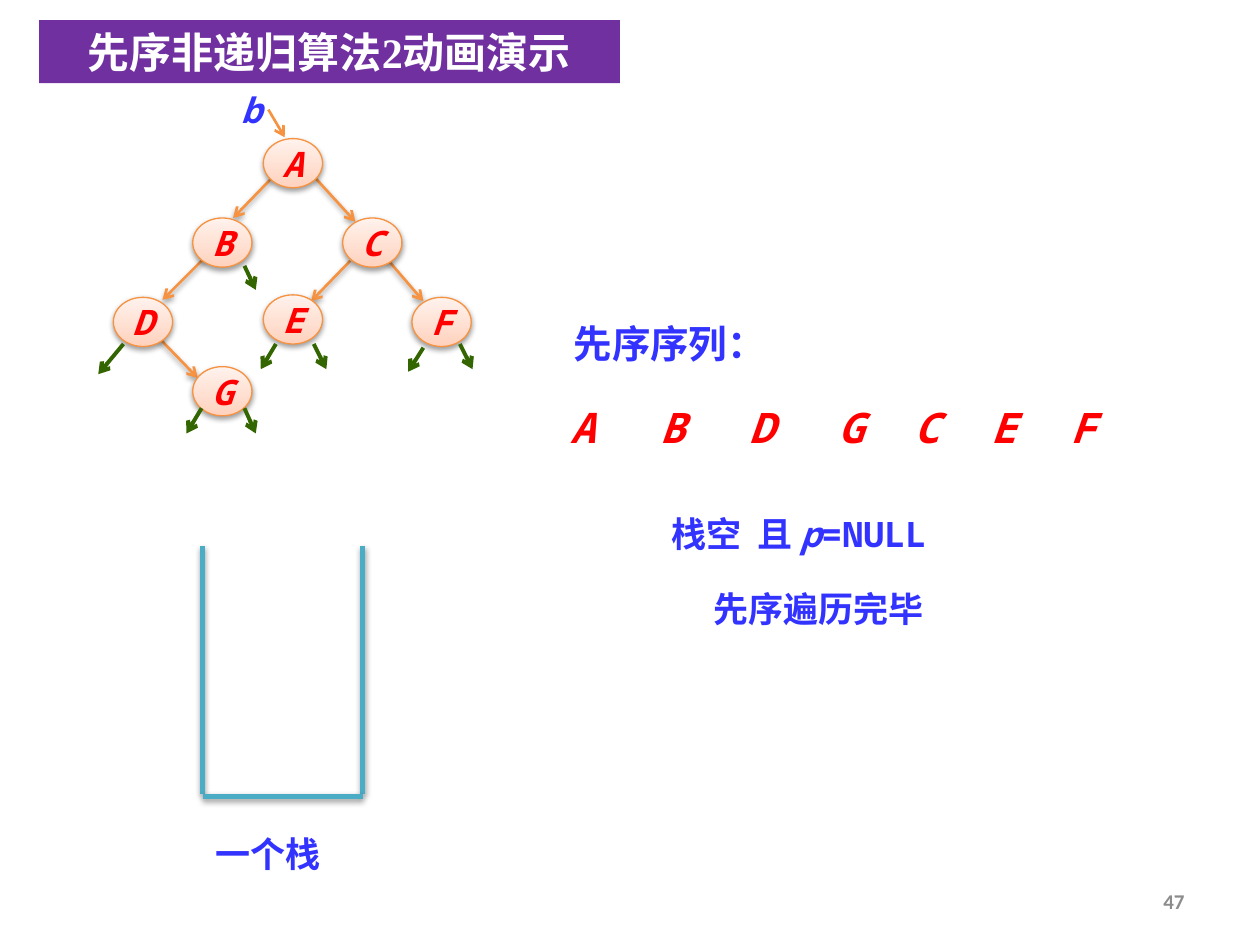
from pptx import Presentation
from pptx.dml.color import RGBColor
from pptx.enum.shapes import MSO_CONNECTOR, MSO_SHAPE
from pptx.enum.text import MSO_ANCHOR, PP_ALIGN
from pptx.oxml import parse_xml
from pptx.oxml.ns import nsdecls
from pptx.util import Inches, Pt

ORANGE = RGBColor(0xF6, 0x92, 0x40)
PEACH = RGBColor(0xFF, 0xD2, 0xBD)
PALE_PEACH = RGBColor(0xFF, 0xF2, 0xED)
GREEN = RGBColor(0x33, 0x66, 0x00)
TEAL = RGBColor(0x4B, 0xAC, 0xC6)
PURPLE = RGBColor(0x70, 0x30, 0xA0)
BLUE = RGBColor(0x33, 0x33, 0xFF)
RED = RGBColor(0xFF, 0x00, 0x00)
GRAY = RGBColor(0x8C, 0x8C, 0x8C)
WHITE = RGBColor(0xFF, 0xFF, 0xFF)
MONO = "Noto Sans Mono"

NO_EFFECT = f"<a:effectLst {nsdecls('a')}/>"
SHADOW = f"""<a:effectLst {nsdecls('a')}>
  <a:outerShdw blurRad="40000" dist="20000" dir="5400000" rotWithShape="0">
    <a:srgbClr val="000000"><a:alpha val="38000"/></a:srgbClr>
  </a:outerShdw></a:effectLst>"""
ARROWHEAD = f"<a:tailEnd {nsdecls('a')} type=\"arrow\"/>"

deck = Presentation()
deck.slide_width, deck.slide_height = Inches(10), Inches(7.5)
page = deck.slides.add_slide(deck.slide_layouts[5])


def add_line(ends, color, width, arrow=True, effect=SHADOW):
    line = page.shapes.add_connector(MSO_CONNECTOR.STRAIGHT, *map(Inches, ends))
    line.line.color.rgb = color
    line.line.width = Pt(width)
    if arrow:
        line.line._get_or_add_ln().append(parse_xml(ARROWHEAD))
    line._element.spPr.append(parse_xml(effect))


def add_text(place, spans, size, color, align=PP_ALIGN.CENTER, inset=True, font=MONO):
    """Add one line of text; spans are (text, italic) pairs."""
    box = page.shapes.add_textbox(*map(Inches, place))
    frame = box.text_frame
    frame.word_wrap = True
    if not inset:
        frame.margin_left = frame.margin_right = 0
        frame.margin_top = frame.margin_bottom = 0
    para = frame.paragraphs[0]
    para.alignment = align
    for text, italic in spans:
        span = para.add_run()
        span.text = text
        span.font.name, span.font.size = font, Pt(size)
        span.font.bold, span.font.italic = True, italic
        span.font.color.rgb = color
    return box


# Title banner
title = page.shapes.title
title.left, title.top = Inches(0.31), Inches(0.16)
title.width, title.height = Inches(4.61), Inches(0.5)
title.fill.solid()
title.fill.fore_color.rgb = PURPLE
title.text_frame.text = "先序非递归算法2动画演示"
title_font = title.text_frame.paragraphs[0].runs[0].font
title_font.name, title_font.size, title_font.bold = "Times New Roman", Pt(24), True
title_font.color.rgb = WHITE

# Tree edges
for ends in [
    (2.16, 1.41, 1.85, 1.73), (2.5, 1.41, 2.82, 1.76),
    (1.64, 2.03, 1.29, 2.38), (2.78, 2.07, 2.47, 2.39),
    (3.05, 2.03, 3.36, 2.39), (1.26, 2.68, 1.57, 3),
]:
    add_line(ends, ORANGE, 1.5)

# Tree nodes
for name, left, top in [
    ("A", 2.09, 1.1), ("B", 1.53, 1.73), ("C", 2.72, 1.73), ("D", 0.9, 2.36),
    ("E", 2.09, 2.34), ("F", 3.27, 2.36), ("G", 1.53, 2.91),
]:
    node = page.shapes.add_shape(
        MSO_SHAPE.OVAL, Inches(left), Inches(top), Inches(0.47), Inches(0.39))
    node.fill.gradient()
    node.fill.gradient_angle = 90
    for stop, color in zip(node.fill.gradient_stops, (PEACH, PALE_PEACH)):
        stop.color.rgb = color
    node.line.color.rgb = ORANGE
    node.line.width = Pt(0.75)
    node._element.spPr.append(parse_xml(SHADOW))
    frame = node.text_frame
    frame.text = name
    frame.word_wrap = False
    frame.vertical_anchor = MSO_ANCHOR.MIDDLE
    frame.paragraphs[0].alignment = PP_ALIGN.CENTER
    font = frame.paragraphs[0].runs[0].font
    font.name, font.size, font.bold, font.italic = MONO, Pt(20), True, True
    font.color.rgb = RED

# Empty child pointers
for ends in [
    (1.94, 2.11, 2.03, 2.3), (0.98, 2.73, 0.78, 2.97),
    (2.19, 2.73, 2.07, 2.93), (2.49, 2.73, 2.59, 2.93),
    (3.36, 2.76, 3.24, 2.95), (3.65, 2.73, 3.75, 2.93),
    (1.6, 3.24, 1.48, 3.44), (1.94, 3.24, 2.03, 3.44),
]:
    add_line(ends, GREEN, 2.25, effect=NO_EFFECT)

# Root pointer
add_line((2.13, 0.87, 2.26, 1.09), ORANGE, 1.5, effect=NO_EFFECT)
add_text((1.8, 0.7, 0.39, 0.34), [("b", True)], 20, BLUE, inset=False)

# Stack
for ends in [(1.61, 4.33, 1.61, 6.3), (2.88, 4.33, 2.88, 6.3), (1.61, 6.32, 2.88, 6.32)]:
    add_line(ends, TEAL, 3, arrow=False)
add_text((1.61, 6.56, 1.26, 0.44), [("一个栈", False)], 20, BLUE, PP_ALIGN.LEFT)

# Preorder sequence
add_text((4.37, 2.49, 1.89, 0.47), [("先序序列：", False)], 22, BLUE)
for name, left in zip("ABDGCEF", (4.39, 5.1, 5.81, 6.52, 7.12, 7.73, 8.36)):
    add_text((left, 3.19, 0.47, 0.4), [(name, True)], 24, RED, inset=False)

# End condition
add_text((5.23, 4.02, 2.5, 0.44),
         [("栈空  且 ", False), ("p", True), ("=NULL", False)], 20, BLUE, PP_ALIGN.LEFT)
add_text((5, 4.61, 2.99, 0.44), [("先序遍历完毕", False)], 20, BLUE)

# Page number
number = add_text((7.17, 6.95, 2.33, 0.4), [("47", False)], 12, GRAY,
                  PP_ALIGN.RIGHT, font="Calibri")
number.text_frame.vertical_anchor = MSO_ANCHOR.MIDDLE

deck.save("out.pptx")
